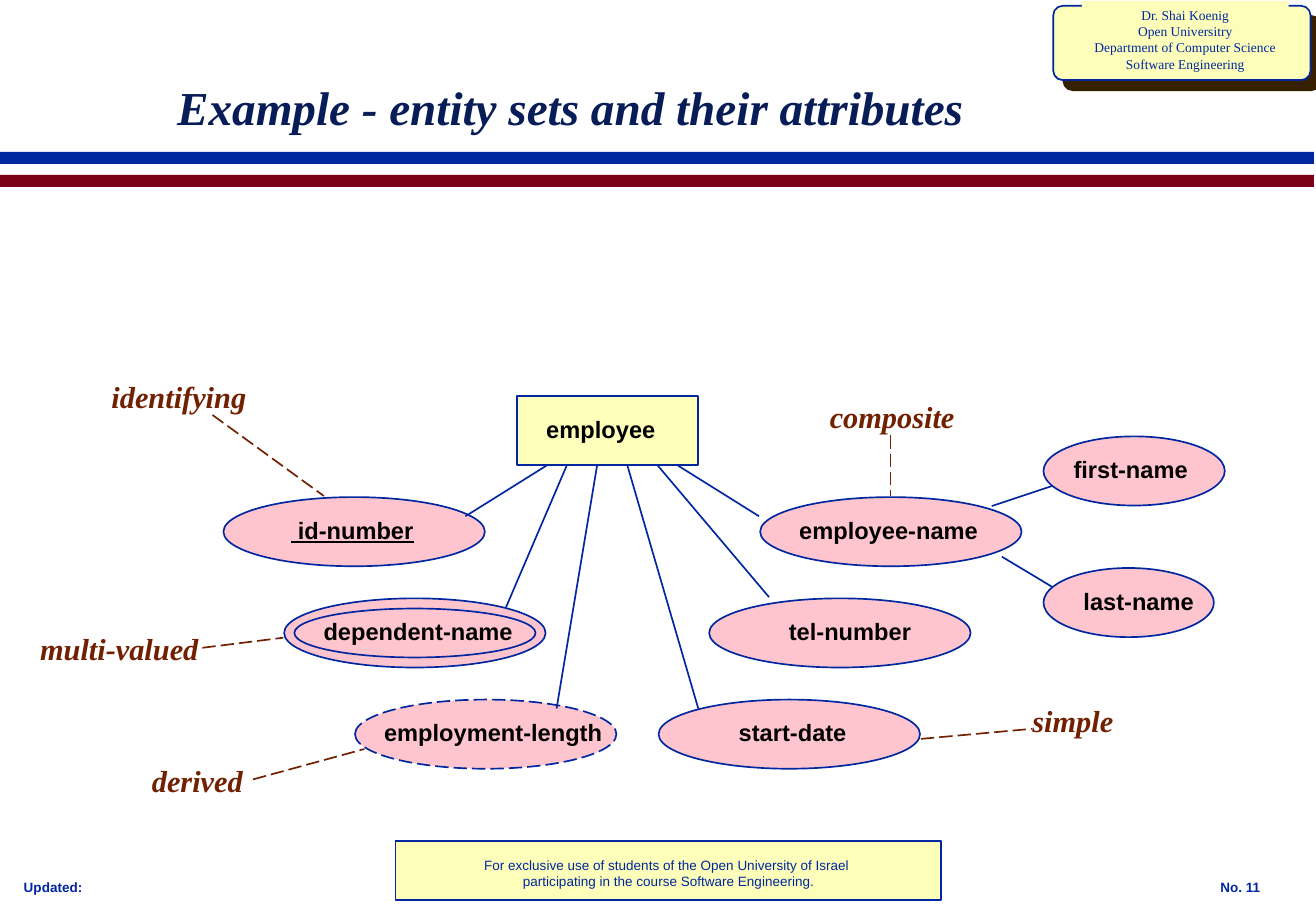
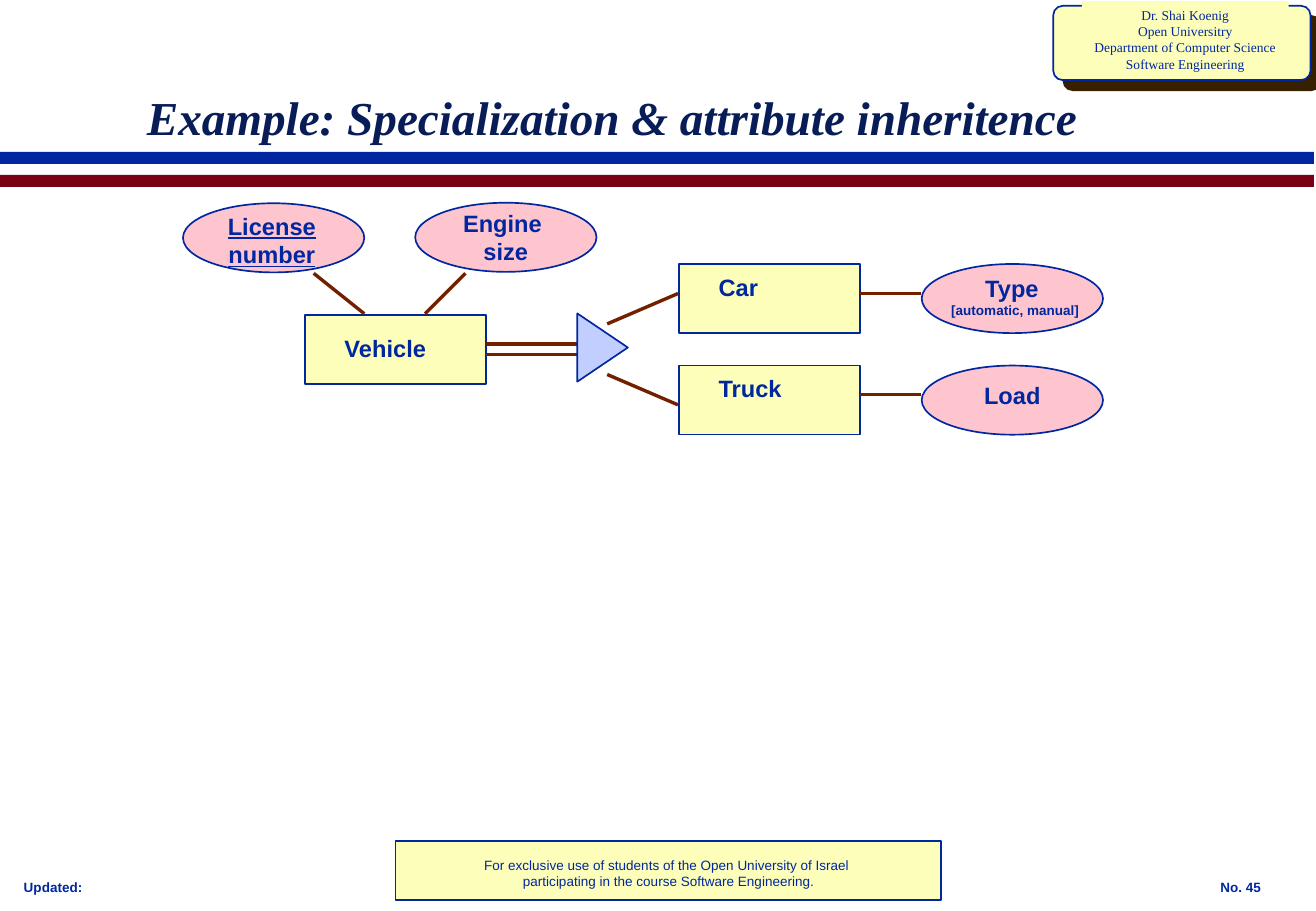
from dataclasses import dataclass, replace
from lxml import etree
from pptx import Presentation
from pptx.dml.color import RGBColor
from pptx.enum.dml import MSO_LINE
from pptx.enum.shapes import MSO_CONNECTOR, MSO_SHAPE
from pptx.enum.text import MSO_ANCHOR, MSO_AUTO_SIZE, PP_ALIGN
from pptx.oxml.ns import qn
from pptx.util import Pt

COLORS = {
    "blue": "00279F", "navy": "081D58", "red": "790015", "brown": "712000",
    "shade": "372000", "cream": "FCFEB9", "pink": "FFC5CF",
    "lilac": "C1CEFF", "black": "000000",
}


@dataclass(frozen=True)
class Style:
    size: float
    color: str
    font: str = "Arial"
    bold: bool = False
    italic: bool = False
    underline: bool = False
    align: PP_ALIGN = PP_ALIGN.LEFT


TITLE = Style(28, "navy", "Times New Roman", bold=True, italic=True)
REMARK = Style(18, "brown", "Times New Roman", bold=True, italic=True)
CARD = Style(8, "blue", "Times New Roman", align=PP_ALIGN.CENTER)
NOTICE = Style(8, "blue", align=PP_ALIGN.CENTER)
CORNER = Style(8, "blue", bold=True)
BLACK_NAME = Style(14, "black", bold=True, align=PP_ALIGN.CENTER)
BLUE_NAME = replace(BLACK_NAME, color="blue")

WIDE, NARROW, HIGH = 155, 107.5, 41


def rgb(name):
    return RGBColor.from_string(COLORS[name])


def write(frame, text, style):
    for index, line in enumerate(text.split("\n")):
        paragraph = frame.add_paragraph() if index else frame.paragraphs[0]
        paragraph.text = line
        paragraph.alignment = style.align
        font = paragraph.font
        font.name, font.size = style.font, Pt(style.size)
        font.bold, font.italic = style.bold, style.italic
        font.underline = style.underline
        font.color.rgb = rgb(style.color)


def label(slide, box, text, style, wrap=False):
    frame = slide.shapes.add_textbox(*map(Pt, box)).text_frame
    frame.word_wrap = wrap
    if wrap:
        frame.vertical_anchor = MSO_ANCHOR.MIDDLE
    else:
        frame.auto_size = MSO_AUTO_SIZE.SHAPE_TO_FIT_TEXT
    write(frame, text, style)


def figure(slide, kind, box, fill, outline="blue", dash=None):
    shape = slide.shapes.add_shape(kind, *map(Pt, box))
    shape.shadow.inherit = False
    shape.fill.solid()
    shape.fill.fore_color.rgb = rgb(fill)
    if outline:
        shape.line.color.rgb = rgb(outline)
        shape.line.width = Pt(1)
        shape.line.dash_style = dash
    else:
        shape.line.fill.background()
    return shape


def caption(shape, text, style, shift=(0, 0)):
    across, down = shift
    frame = shape.text_frame
    frame.word_wrap = False
    frame.vertical_anchor = MSO_ANCHOR.MIDDLE
    frame.margin_left, frame.margin_right = Pt(max(0, 2 * across)), Pt(max(0, -2 * across))
    frame.margin_top, frame.margin_bottom = Pt(max(0, 2 * down)), Pt(max(0, -2 * down))
    write(frame, text, style)


def entity(slide, left, top, text, style, shift):
    box = figure(slide, MSO_SHAPE.RECTANGLE, (left, top, NARROW, HIGH), "cream")
    caption(box, text, style, shift)


def attribute(slide, left, top, width, text, style, shift=(0, 0), dash=None):
    oval = figure(slide, MSO_SHAPE.OVAL, (left, top, width, HIGH), "pink", dash=dash)
    caption(oval, text, style, shift)
    return oval


def link(slide, ends, color="blue", width=1, dash=None):
    line = slide.shapes.add_connector(MSO_CONNECTOR.STRAIGHT, *map(Pt, ends))
    line.line.color.rgb = rgb(color)
    line.line.width = Pt(width)
    line.line.dash_style = dash
    etree.SubElement(line._element.spPr, qn("a:effectLst"))


def cast_shadow(shape):
    effects = shape._element.spPr.find(qn("a:effectLst"))
    shadow = etree.SubElement(effects, qn("a:outerShdw"), blurRad="0", dist=str(Pt(8.5)),
                              dir="2700000", algn="ctr", rotWithShape="0")
    etree.SubElement(shadow, qn("a:srgbClr"), val=COLORS["shade"])


def new_slide(deck, number, title, title_box):
    slide = deck.slides.add_slide(deck.slide_layouts[6])
    notice = figure(slide, MSO_SHAPE.RECTANGLE, (234.5, 498.5, 323.5, 35), "cream")
    caption(notice, "For exclusive use of students of the Open University of Israel \n"
            "participating in the course Software Engineering.", NOTICE, (0.3, 1.7))
    for top, color in ((90, "blue"), (103.7, "red")):
        figure(slide, MSO_SHAPE.RECTANGLE, (0, top, 779, 7.2), color, None)
    card = figure(slide, MSO_SHAPE.ROUNDED_RECTANGLE, (624.5, 3.5, 152.5, 44), "cream")
    card.adjustments[0] = 0.125
    cast_shadow(card)
    author = figure(slide, MSO_SHAPE.RECTANGLE, (641.5, 0.7, 122.5, 45.4), "cream", None)
    caption(author, "Dr. Shai Koenig\nOpen Universitry\n"
            "Department of Computer Science\nSoftware Engineering", CARD)
    label(slide, (7, 517.3, 83, 16.5), "Updated:", CORNER)
    label(slide, (716.4, 517.3, 68.4, 16.5), f"No. {number}", CORNER)
    label(slide, title_box, title, TITLE, wrap=True)
    return slide


def entity_sets(deck):
    slide = new_slide(deck, 11, "Example - entity sets and their attributes", (98, 36, 612, 54))
    entity(slide, 306.5, 234.7, "employee", BLACK_NAME, (-4, -1))
    attributes = (
        (132.5, 294.7, WIDE, " id-number", replace(BLACK_NAME, underline=True), -1),
        (420.5, 354.7, WIDE, "tel-number", BLACK_NAME, 6),
        (450.7, 294.7, WIDE, "employee-name", BLACK_NAME, -1.3),
        (390.5, 414.7, WIDE, "start-date", BLACK_NAME, 2),
        (618.7, 258.7, NARROW, "first-name", BLACK_NAME, -2),
        (618.7, 336.7, 101, "last-name", BLACK_NAME, 6),
    )
    for left, top, width, text, style, across in attributes:
        attribute(slide, left, top, width, text, style, (across, -1))
    attribute(slide, 210.5, 414.7, WIDE, "employment-length", BLACK_NAME, (4.5, -1),
              MSO_LINE.LONG_DASH)
    figure(slide, MSO_SHAPE.OVAL, (168.5, 354.7, WIDE, HIGH), "pink")
    dependent = figure(slide, MSO_SHAPE.OVAL, (174.5, 360.7, 143, 29), "pink")
    caption(dependent, "dependent-name", BLACK_NAME, (2, -1))

    for ends in (
        (324, 276, 276, 306), (336, 276, 300, 360), (354, 276, 330, 420),
        (390, 276, 456, 354), (402, 276, 450, 306), (372, 276, 414, 420),
        (588, 300, 624, 288), (594, 330, 624, 348),
    ):
        link(slide, ends)

    for text, box, ends in (
        ("identifying", (59, 220.5, 96, 29), (126, 246, 192, 294)),
        ("multi-valued", (16.7, 370.2, 114, 29), (120, 384, 168, 378)),
        ("derived", (83, 448.5, 72, 29), (150, 462, 216, 444)),
        ("composite", (484.9, 232.5, 92, 29), (528, 258, 528, 294)),
        ("simple", (605, 412.5, 68, 29), (546, 438, 612, 432)),
    ):
        label(slide, box, text, REMARK)
        link(slide, ends, "brown", dash=MSO_LINE.LONG_DASH)


def specialization(deck):
    slide = new_slide(deck, 45, "Example: Specialization & attribute inheritence",
                      (80, 42, 622, 54))
    for left, top, text, shift in (
        (180.7, 186.7, "Vehicle", (-6, -1)),
        (402.5, 156.5, "Car", (-18.5, -7)),
        (402.5, 216.7, "Truck", (-11.5, -7)),
    ):
        entity(slide, left, top, text, BLUE_NAME, shift)

    attribute(slide, 246.2, 120.2, NARROW, "Engine \nsize", BLUE_NAME)
    attribute(slide, 108.5, 120.5, NARROW, "License\nnumber",
              replace(BLUE_NAME, underline=True), (-1, 1.4))
    kind = attribute(slide, 546.5, 156.5, NARROW, "Type \n[automatic, manual]",
                     BLUE_NAME, (1.7, -1.5))
    kind.text_frame.paragraphs[1].font.size = Pt(8)
    attribute(slide, 546.5, 216.7, NARROW, "Load", BLUE_NAME, (0, -2.8))

    for ends in (
        (360, 192, 402, 174), (360, 222, 402, 240),
        (342, 204, 288, 204), (342, 210, 288, 210),
        (186, 162, 216, 186), (252, 186, 276, 162),
        (510, 174, 546, 174), (510, 234, 546, 234),
    ):
        link(slide, ends, "brown", 2)

    subset = figure(slide, MSO_SHAPE.ISOSCELES_TRIANGLE, (337, 191, 40.5, 30), "lilac")
    subset.rotation = 90


def main():
    deck = Presentation()
    deck.slide_width, deck.slide_height = Pt(780.25), Pt(540)
    entity_sets(deck)
    specialization(deck)
    deck.save("out.pptx")


if __name__ == "__main__":
    main()
